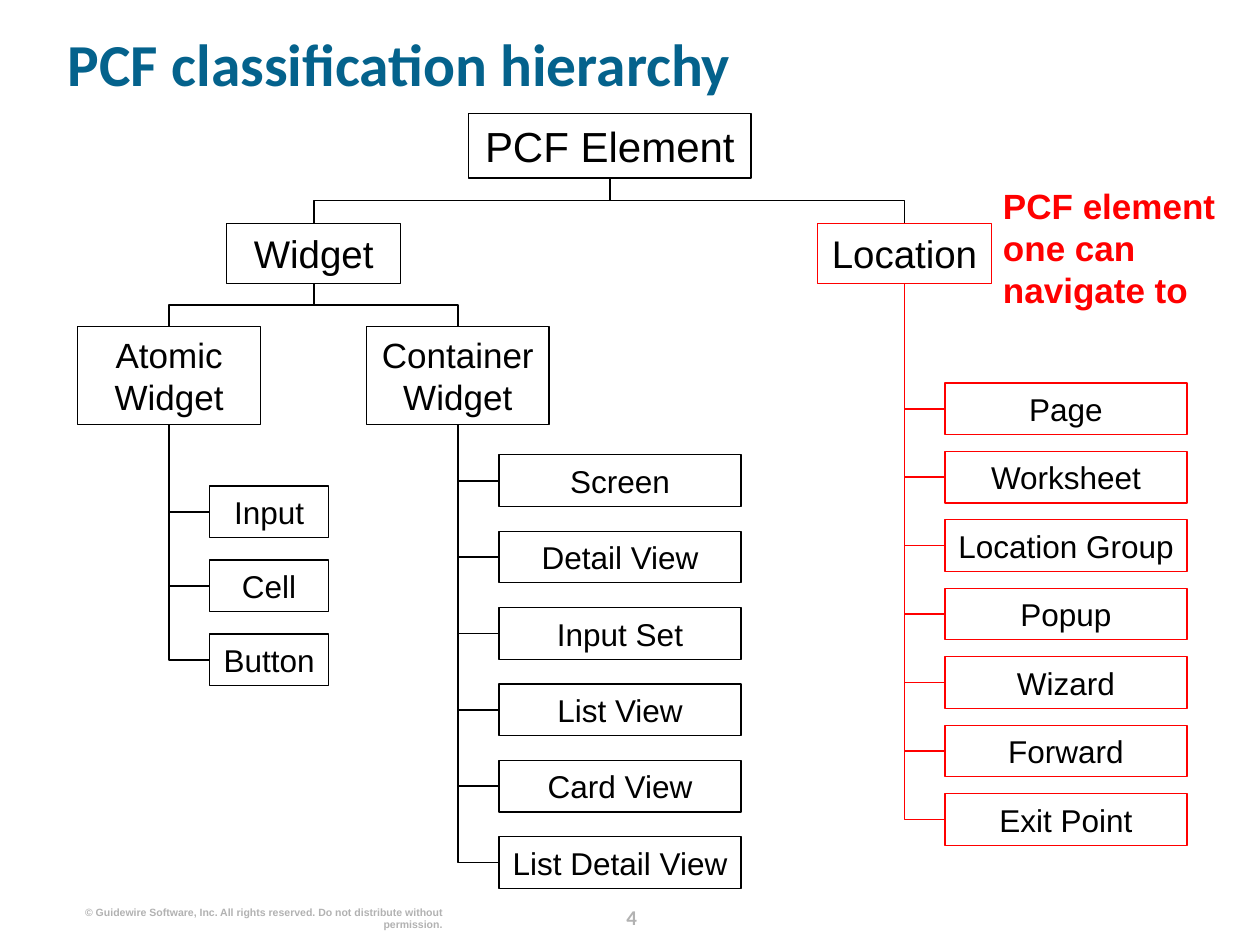
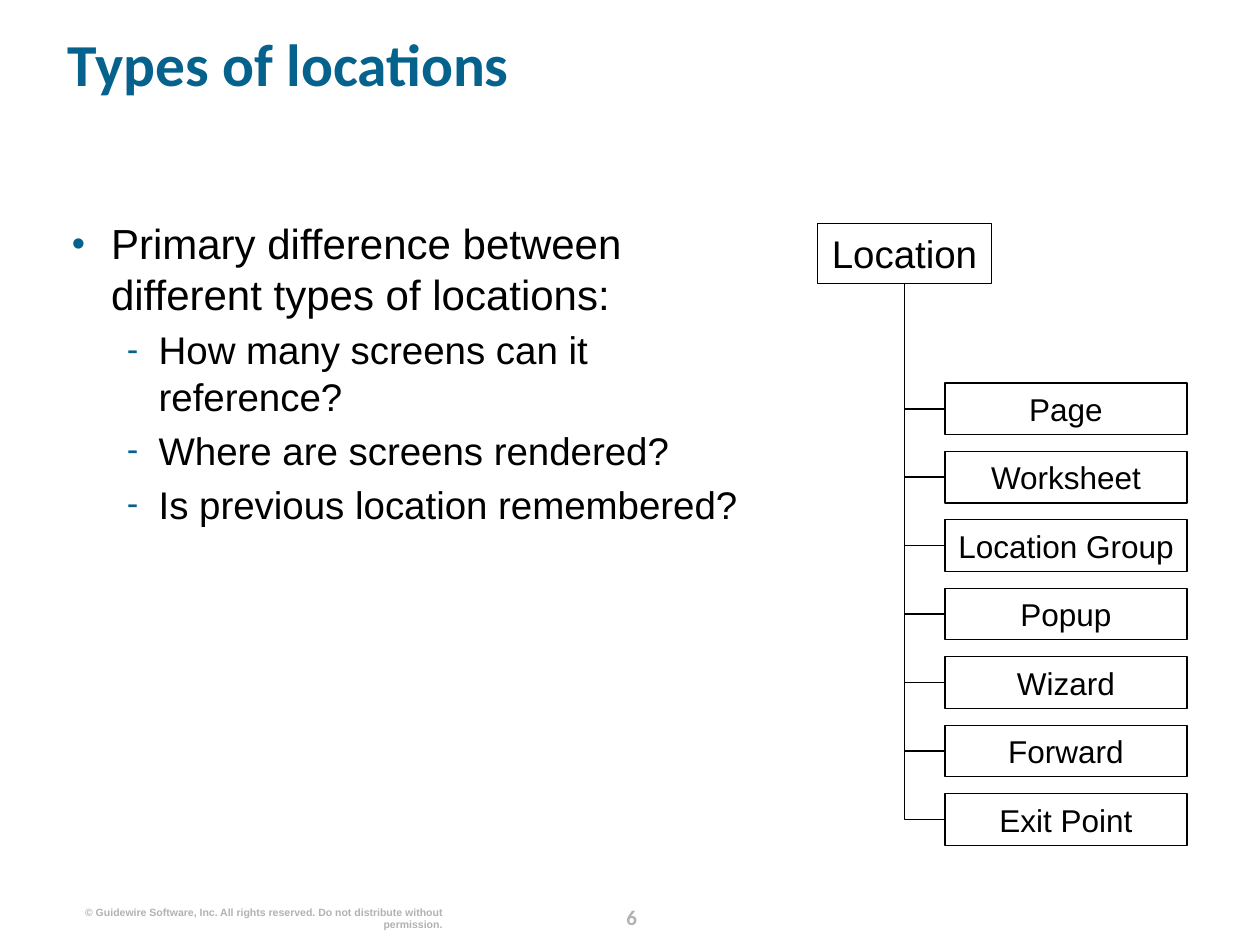
from dataclasses import dataclass

from lxml.etree import SubElement
from pptx import Presentation
from pptx.dml.color import RGBColor
from pptx.enum.shapes import MSO_CONNECTOR, MSO_SHAPE
from pptx.enum.text import MSO_ANCHOR, PP_ALIGN
from pptx.oxml.ns import qn
from pptx.util import Cm, Pt


@dataclass(frozen=True)
class Theme:
    heading: str = "04628C"
    ink: str = "000000"
    accent: str = "FF0000"
    muted: str = "B2B2B2"
    head_font: str = "Calibri"
    body_font: str = "Arial"
    title: int = 34
    top: int = 24
    branch: int = 22
    group: int = 20
    leaf: int = 18
    number: int = 12
    footer: int = 6
    outline: float = 0.75
    link: float = 1


theme = Theme()


def write(frame, text, *, size, color=theme.ink, font=theme.body_font, bold=False,
          align=PP_ALIGN.LEFT, anchor=MSO_ANCHOR.TOP, margins=(0, 0),
          spacing=None, before=0, bullet=None, level=0, indent=(0, 0)):
    frame.word_wrap = True
    frame.vertical_anchor = anchor
    frame.margin_left = frame.margin_right = Cm(margins[0])
    frame.margin_top = frame.margin_bottom = Cm(margins[1])
    paragraph = frame.add_paragraph() if frame.text else frame.paragraphs[0]
    paragraph.alignment = align
    paragraph.level = level
    if spacing:
        paragraph.line_spacing = spacing
    if before:
        paragraph.space_before = Pt(before)
    if bullet:
        properties = paragraph._p.get_or_add_pPr()
        properties.set("marL", str(Cm(indent[0])))
        properties.set("indent", str(Cm(indent[1])))
        bullet_color = SubElement(properties, qn("a:buClr"))
        SubElement(bullet_color, qn("a:srgbClr")).set("val", theme.heading)
        SubElement(properties, qn("a:buSzPct")).set("val", "90000")
        SubElement(properties, qn("a:buFont")).set("typeface", theme.body_font)
        SubElement(properties, qn("a:buChar")).set("char", bullet)
    run = paragraph.add_run()
    run.text = text
    run.font.size = Pt(size)
    run.font.name = font
    run.font.bold = bold
    run.font.color.rgb = RGBColor.from_string(color)


def link(slide, parent, child, side, color):
    start_x, start_y = parent.left + parent.width // 2, parent.top + parent.height
    end_x = child.left + (child.width // 2 if side == 0 else 0)
    end_y = child.top + (child.height // 2 if side == 1 else 0)
    elbow = slide.shapes.add_connector(MSO_CONNECTOR.ELBOW, start_x, start_y, end_x, end_y)
    elbow.begin_connect(parent, 2)
    elbow.end_connect(child, side)
    across, down = abs(end_x - start_x), end_y - start_y
    properties = elbow._element.spPr
    for flip in ("flipH", "flipV"):
        properties.xfrm.attrib.pop(flip, None)
    elbow.left = (start_x + end_x - down) // 2
    elbow.top = (start_y + end_y - across) // 2
    elbow.width, elbow.height = down, across
    if end_x > start_x:
        properties.xfrm.set("rot", "16200000")
        properties.xfrm.set("flipH", "1")
    else:
        properties.xfrm.set("rot", "5400000")
    if side == 1:
        properties.find(qn("a:prstGeom")).set("prst", "bentConnector2")
    elbow.line.color.rgb = RGBColor.from_string(color)
    elbow.line.width = Pt(theme.link)
    SubElement(properties, qn("a:effectLst"))


presentation = Presentation()
presentation.slide_width, presentation.slide_height = Cm(25.4), Cm(19.05)

leaf_height = 1.04
leaf_columns = {
    "Atomic Widget": (4.22, 9.8, 2.41, 1.49, ["Input", "Cell", "Button"]),
    "Container Widget": (10.06, 9.17, 4.88, 1.54, [
        "Screen", "Detail View", "Input Set", "List View", "Card View", "List Detail View"]),
    "Location": (19.05, 7.72, 4.88, 1.38, [
        "Page", "Worksheet", "Location Group", "Popup", "Wizard", "Forward", "Exit Point"]),
}
location = ("Location", 16.48, 4.5, 3.51, 1.22, theme.branch, "PCF Element")
hierarchy = [
    ("PCF Element", 9.45, 2.29, 5.69, 1.3, theme.top, None),
    ("Widget", 4.57, 4.5, 3.51, 1.22, theme.branch, "PCF Element"),
    location,
    ("Atomic Widget", 1.57, 6.58, 3.68, 1.98, theme.group, "Widget"),
    ("Container Widget", 7.39, 6.58, 3.68, 1.98, theme.group, "Widget"),
]
pages = [
    ("PCF classification hierarchy", "4", hierarchy, theme.accent),
    ("Types of locations", "6", [location], theme.ink),
]
copyright_line = ("© Guidewire Software, Inc. All rights reserved. "
                  "Do not distribute without permission.")

slides = []
for title, number, nodes, location_color in pages:
    slide = presentation.slides.add_slide(presentation.slide_layouts[6])
    slides.append(slide)
    frame = slide.shapes.add_textbox(Cm(12.01), Cm(18.11), Cm(1.45), Cm(0.64)).text_frame
    write(frame, number, size=theme.number, color=theme.muted, font=theme.head_font,
          bold=True, align=PP_ALIGN.CENTER, spacing=Pt(18))
    frame = slide.shapes.add_textbox(Cm(1.55), Cm(18.26), Cm(7.37), Cm(0.25)).text_frame
    write(frame, copyright_line, size=theme.footer, color=theme.muted, bold=True,
          align=PP_ALIGN.RIGHT)
    frame = slide.shapes.add_textbox(Cm(1.37), Cm(0.33), Cm(23.11), Cm(2.06)).text_frame
    write(frame, title, size=theme.title, color=theme.heading, font=theme.head_font,
          bold=True, anchor=MSO_ANCHOR.MIDDLE, spacing=0.9)

    entries = []
    for name, left, top, width, height, size, parent in nodes:
        color = location_color if name == "Location" else theme.ink
        entries.append((name, left, top, width, height, size, parent, 0, color, theme.ink))
        if name in leaf_columns:
            left, top, width, step, leaves = leaf_columns[name]
            for row, leaf in enumerate(leaves):
                entries.append((leaf, left, top + row * step, width, leaf_height,
                                theme.leaf, name, 1, color, color))

    boxes = {}
    for name, left, top, width, height, size, parent, side, color, link_color in entries:
        box = slide.shapes.add_shape(MSO_SHAPE.RECTANGLE, Cm(left), Cm(top),
                                     Cm(width), Cm(height))
        box.shadow.inherit = False
        box.fill.background()
        box.line.color.rgb = RGBColor.from_string(color)
        box.line.width = Pt(theme.outline)
        write(box.text_frame, name, size=size, align=PP_ALIGN.CENTER,
              anchor=MSO_ANCHOR.MIDDLE, margins=(0.2, 0.13))
        boxes[name] = box
    for name, *_, parent, side, color, link_color in entries:
        if parent in boxes:
            link(slide, boxes[parent], boxes[name], side, link_color)

hierarchy_slide, types_slide = slides
frame = hierarchy_slide.shapes.add_textbox(Cm(20.22), Cm(3.71), Cm(4.45), Cm(2.54)).text_frame
write(frame, "PCF element one can navigate to", size=theme.group, color=theme.accent, bold=True)

frame = types_slide.shapes.add_textbox(Cm(1.45), Cm(4.39), Cm(13.94), Cm(13.36)).text_frame
write(frame, "Primary difference between different types of locations:", size=theme.top,
      bullet="•", indent=(0.79, -0.79))
for question in ("How many screens can it reference?", "Where are screens rendered?",
                 "Is previous location remembered?"):
    write(frame, question, size=theme.branch, bullet="-", level=1,
          indent=(1.75, -0.64), before=4.5)

presentation.save("out.pptx")
